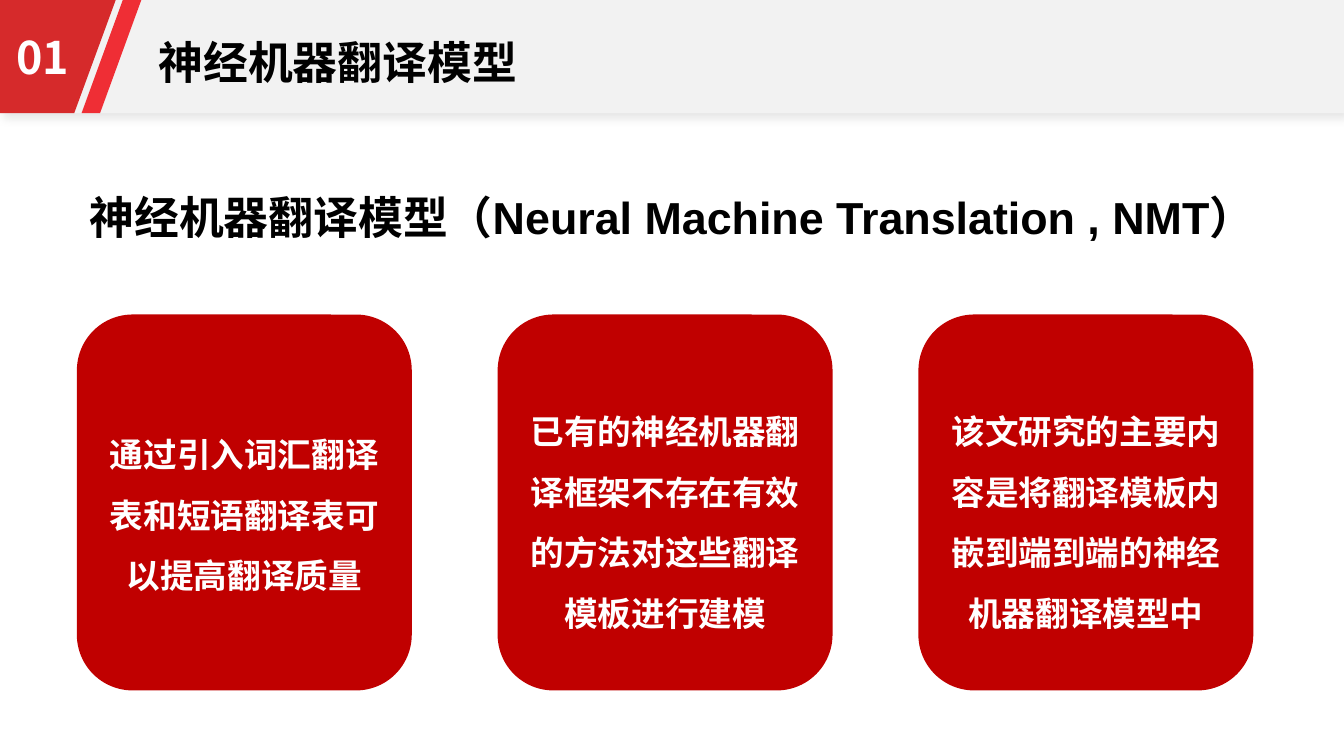
from dataclasses import dataclass

from lxml import etree
from pptx import Presentation
from pptx.dml.color import RGBColor
from pptx.enum import shapes, text
from pptx.oxml import ns
from pptx.util import Pt


@dataclass(frozen=True)
class Theme:
    band: str = "F2F2F2"
    badge: str = "D62A2B"
    stripe: str = "EF2E35"
    card: str = "C00000"
    dark: str = "000000"
    light: str = "FFFFFF"
    latin: str = "Arial"
    cjk: str = "Noto Sans CJK SC"
    title_size: float = 24
    body_size: float = 18


@dataclass(frozen=True)
class Box:
    left: float
    top: float
    width: float
    height: float

    def emu(self):
        return Pt(self.left), Pt(self.top), Pt(self.width), Pt(self.height)


@dataclass(frozen=True)
class Card:
    message: str
    text_top: float
    text_height: float


THEME = Theme()
KIND = shapes.MSO_SHAPE
BAND_HEIGHT = 60.6
CARD_BOX = Box(41.2, 168.5, 179.4, 201.4)
CARD_PITCH = 225.4
CARD_TEXT_WIDTH = 165
CARDS = (
    Card("通过引入词汇翻译表和短语翻译表可以提高翻译质量", 218.2, 101.5),
    Card("已有的神经机器翻译框架不存在有效的方法对这些翻译模板进行建模", 205.9, 134),
    Card("该文研究的主要内容是将翻译模板内嵌到端到端的神经机器翻译模型中", 205.9, 134),
)


def paint(sp, color: str) -> None:
    sp.shadow.inherit = False
    sp.fill.solid()
    sp.fill.fore_color.rgb = RGBColor.from_string(color)
    sp.line.fill.background()


def add_block(parent, kind, box: Box, color: str):
    sp = parent.add_shape(kind, *box.emu())
    paint(sp, color)
    return sp


def add_soft_shadow(sp) -> None:
    effects = sp._element.spPr.find(ns.qn("a:effectLst"))
    shadow = etree.SubElement(effects, ns.qn("a:outerShdw"), blurRad=str(Pt(5)),
                              dist=str(Pt(3)), dir=str(45 * 60000), algn="tl")
    color = etree.SubElement(shadow, ns.qn("a:srgbClr"), val=THEME.dark)
    etree.SubElement(color, ns.qn("a:alpha"), val="10000")


def add_label(parent, box: Box, words: str, color: str, size: float, font: str,
              align=text.PP_ALIGN.CENTER, spacing: float = 1.0, wrap: bool = True) -> None:
    tf = parent.add_textbox(*box.emu()).text_frame
    tf.text = words
    tf.word_wrap = wrap
    tf.auto_size = text.MSO_AUTO_SIZE.SHAPE_TO_FIT_TEXT
    p = tf.paragraphs[0]
    p.alignment = align
    p.line_spacing = spacing
    r = p.runs[0]
    r.font.size = Pt(size)
    r.font.bold = True
    r.font.name = font
    r.font.color.rgb = RGBColor.from_string(color)
    east_asian = etree.Element(ns.qn("a:ea"), typeface=THEME.cjk)
    r.font._element.find(ns.qn("a:latin")).addnext(east_asian)


def add_header(parent) -> None:
    band = add_block(parent, KIND.RECTANGLE, Box(-0.5, 0, 720.5, BAND_HEIGHT), THEME.band)
    add_soft_shadow(band)

    outline = parent.build_freeform(0, 0)
    outline.add_line_segments(
        [(Pt(x), Pt(y)) for x, y in ((62, 0), (39.8, BAND_HEIGHT), (0, BAND_HEIGHT))])
    paint(outline.convert_to_shape(), THEME.badge)

    stripe = add_block(parent, KIND.PARALLELOGRAM, Box(43.7, 0, 32, BAND_HEIGHT), THEME.stripe)
    stripe.adjustments[0] = 0.69

    add_label(parent, Box(77.8, 15.1, 208, 36), "神经机器翻译模型", THEME.dark,
              THEME.title_size, THEME.cjk, text.PP_ALIGN.LEFT, wrap=False)
    add_label(parent, Box(-15.3, 12.2, 76.3, 36), "01", THEME.light,
              THEME.title_size, THEME.cjk)


def add_card(parent, card: Card, left: float) -> None:
    """Group a rounded panel with its horizontally centred message."""
    group = parent.add_group_shape().shapes
    panel = Box(left, CARD_BOX.top, CARD_BOX.width, CARD_BOX.height)
    add_block(group, KIND.ROUNDED_RECTANGLE, panel, THEME.card)
    text_left = left + (CARD_BOX.width - CARD_TEXT_WIDTH) / 2
    add_label(group, Box(text_left, card.text_top, CARD_TEXT_WIDTH, card.text_height),
              card.message, THEME.light, THEME.body_size, THEME.latin, spacing=1.5)


def main() -> None:
    prs = Presentation()
    prs.slide_width, prs.slide_height = Pt(720), Pt(405)
    s = prs.slides.add_slide(prs.slide_layouts[6])
    add_header(s.shapes)
    for i, card in enumerate(CARDS):
        add_card(s.shapes, card, CARD_BOX.left + i * CARD_PITCH)
    add_label(s.shapes, Box(8.6, 98, 702.8, 36),
              "神经机器翻译模型（Neural Machine Translation , NMT）",
              THEME.dark, THEME.title_size, THEME.latin)
    prs.save("out.pptx")


if __name__ == "__main__":
    main()
